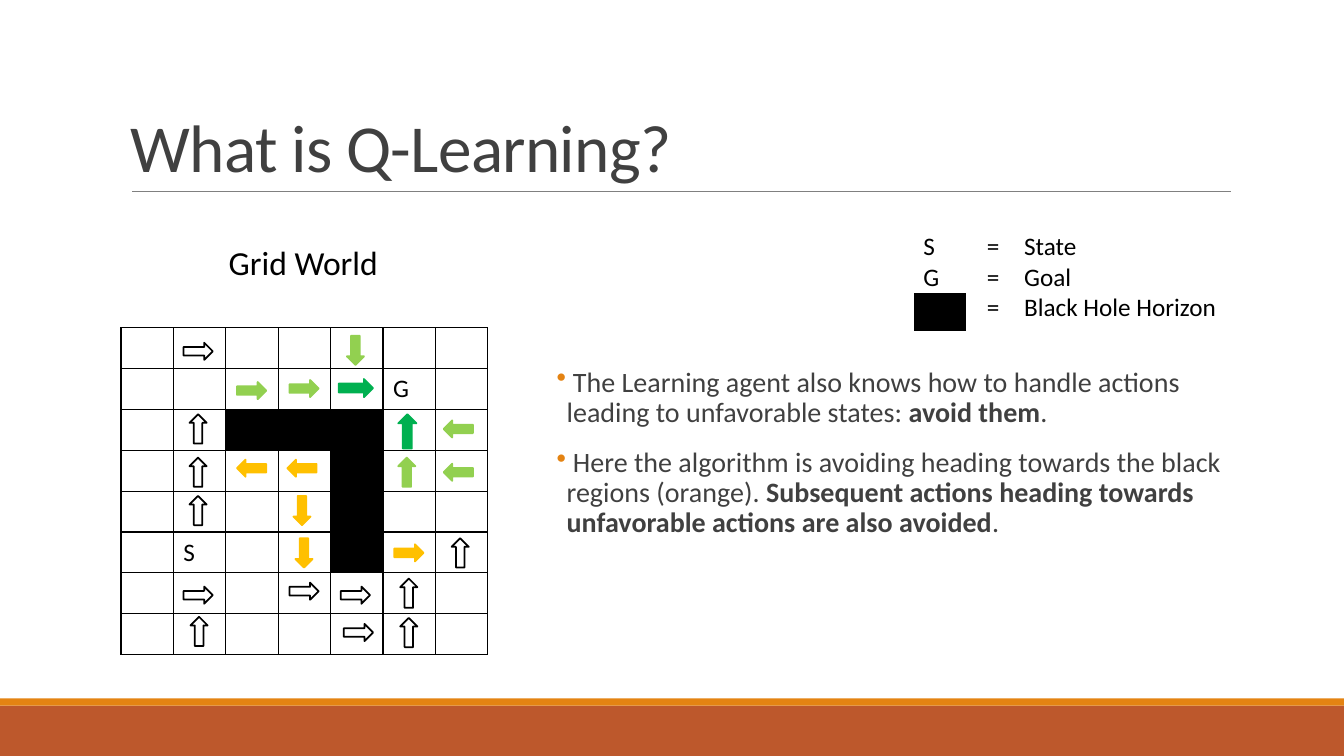
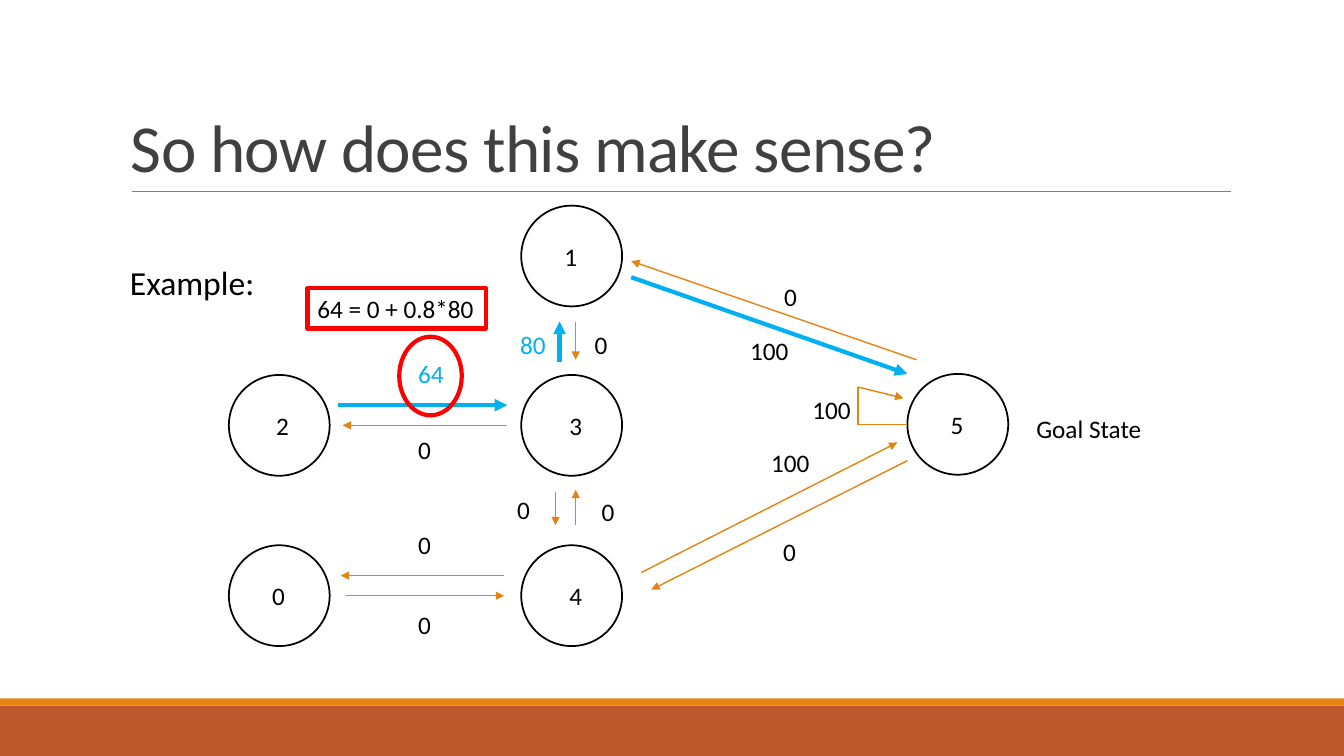
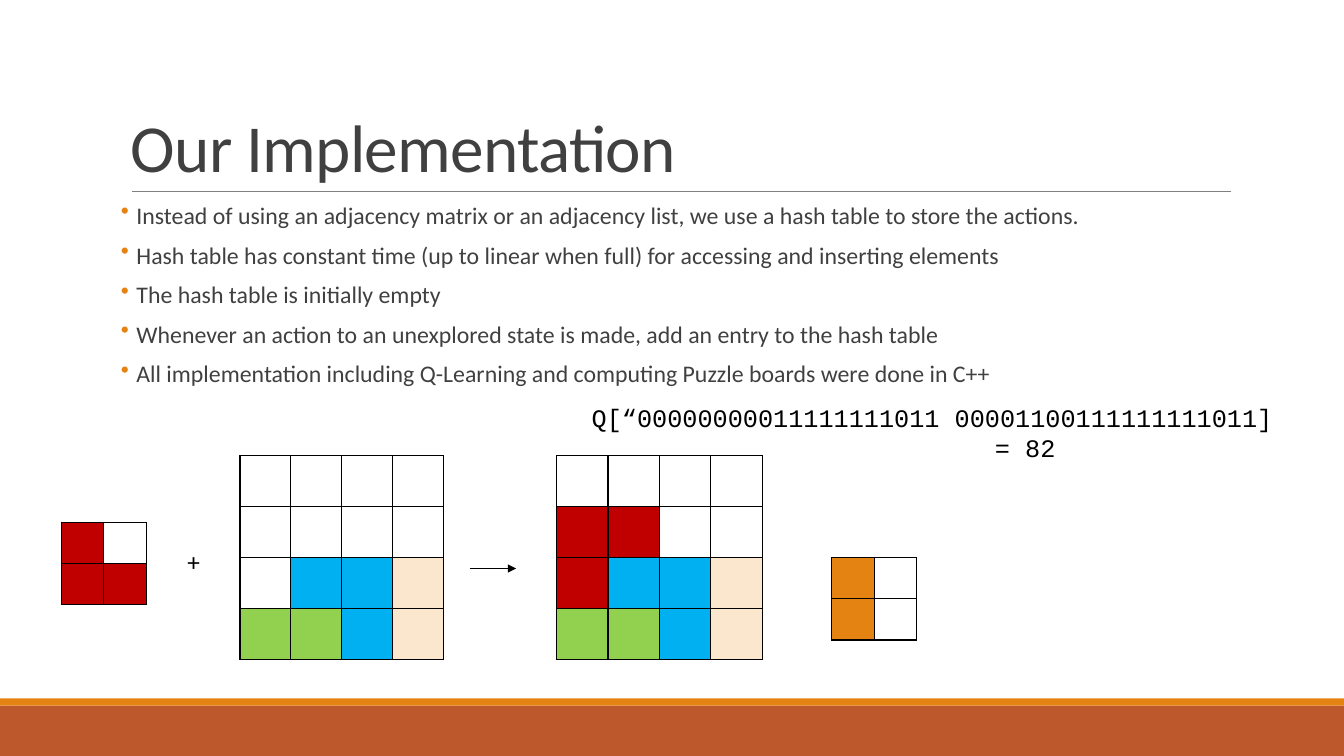
from dataclasses import dataclass
from lxml.etree import SubElement
from pptx import Presentation
from pptx.dml.color import RGBColor
from pptx.enum.shapes import MSO_CONNECTOR, MSO_SHAPE
from pptx.enum.text import MSO_ANCHOR, MSO_AUTO_SIZE
from pptx.oxml.ns import qn
from pptx.util import Inches, Pt


@dataclass(frozen=True)
class Theme:
    font: str = "Calibri"
    code: str = "Courier New"
    black: str = "000000"
    white: str = "FFFFFF"
    grey: str = "808080"
    dark: str = "404040"
    rust: str = "BD582C"
    orange: str = "E48312"
    amber: str = "FFC000"
    green: str = "00B050"
    lime: str = "92D050"
    sky: str = "00B0F0"
    cream: str = "FBE6CE"
    maroon: str = "C00000"
    red: str = "FF0000"
    title: int = 48
    head: int = 24
    body: int = 20
    list: int = 17
    label: int = 18
    hair: float = 0.5
    thin: float = 1
    edge: float = 1.25
    bold: float = 3


T = Theme()
FILLS = {"K": T.black, "W": T.white, "B": T.sky, "C": T.cream,
         "G": T.lime, "R": T.maroon, "O": T.orange}
RIGHT, DOWN, LEFT, UP = 0, 90, 180, 270


def rgb(code):
    return RGBColor.from_string(code)


def inches(*sizes):
    return [Inches(size) for size in sizes]


def paint(item, fill=None, line=None, width=T.edge):
    if fill:
        item.fill.solid()
        item.fill.fore_color.rgb = rgb(fill)
    else:
        item.fill.background()
    if line:
        item.line.color.rgb = rgb(line)
        item.line.width = Pt(width)
    else:
        item.line.fill.background()


def shape(slide, kind, box, turn=0, **look):
    item = slide.shapes.add_shape(kind, *inches(*box))
    item.shadow.inherit = False
    item.rotation = turn
    paint(item, **look)
    return item


def add_marks(para, bullet, tabs):
    props = para._p.get_or_add_pPr()
    if bullet:
        props.set("marL", str(Inches(0.1)))
        props.set("indent", str(-Inches(0.1)))
        color = SubElement(props, qn("a:buClr"))
        SubElement(color, qn("a:srgbClr"), val=T.orange)
        SubElement(props, qn("a:buChar"), char="•")
    if tabs:
        stops = SubElement(props, qn("a:tabLst"))
        for tab in tabs:
            SubElement(stops, qn("a:tab"), pos=str(Inches(tab)), algn="l")


def text(slide, box, words, size=T.label, color=T.black, font=T.font,
         wrap=False, anchor=MSO_ANCHOR.TOP, lead=None, gap=None,
         pad=0.1, kern=None, bullet=False, tabs=()):
    item = slide.shapes.add_textbox(*inches(*box))
    frame = item.text_frame
    frame.word_wrap = wrap
    frame.auto_size = (MSO_AUTO_SIZE.NONE if wrap
                       else MSO_AUTO_SIZE.SHAPE_TO_FIT_TEXT)
    frame.vertical_anchor = anchor
    frame.margin_left = frame.margin_right = Inches(pad)
    for spot, line in enumerate(words.split("\n")):
        para = frame.add_paragraph() if spot else frame.paragraphs[0]
        if lead:
            para.line_spacing = lead
        if gap:
            para.space_before, para.space_after = Pt(gap[0]), Pt(gap[1])
        add_marks(para, bullet, tabs)
        for part, chunk in enumerate(line.split("**")):
            run = para.add_run()
            run.text = chunk
            run.font.name = font
            run.font.size = Pt(size)
            run.font.bold = part % 2 == 1
            run.font.color.rgb = rgb(color)
            if kern:
                run._r.get_or_add_rPr().set("spc", str(kern))
    return item


def bullets(slide, box, words, size, lead):
    text(slide, box, words, size=size, color=T.dark, wrap=True, pad=0,
         lead=lead, gap=(12, 2), bullet=True)


def link(slide, start, end, color=T.orange, width=T.thin, arrow=True):
    item = slide.shapes.add_connector(MSO_CONNECTOR.STRAIGHT,
                                      *inches(*start, *end))
    item.line.color.rgb = rgb(color)
    item.line.width = Pt(width)
    if arrow:
        SubElement(item.line._get_or_add_ln(), qn("a:tailEnd"),
                   type="triangle")
    SubElement(item._element.spPr, qn("a:effectLst"))


def border(cell, color, base):
    props = cell._tc.get_or_add_tcPr()
    sides = [("L", T.thin), ("R", T.thin), ("T", T.thin), ("B", base)]
    for spot, (side, width) in enumerate(sides):
        line = props.makeelement(qn("a:ln" + side), w=str(Pt(width)))
        solid = SubElement(line, qn("a:solidFill"))
        SubElement(solid, qn("a:srgbClr"), val=color)
        props.insert(spot, line)


def grid(slide, box, plan, marks=None, color=T.black, base=T.thin):
    rows, cols = len(plan), len(plan[0])
    table = slide.shapes.add_table(rows, cols, *inches(*box)).table
    table.first_row = table.horz_banding = False
    for row, codes in enumerate(plan):
        for col, code in enumerate(codes):
            cell = table.cell(row, col)
            if code in FILLS:
                cell.fill.solid()
                cell.fill.fore_color.rgb = rgb(FILLS[code])
            else:
                cell.fill.background()
            border(cell, color, base)
            mark = (marks or {}).get((row, col))
            if mark:
                run = cell.text_frame.paragraphs[0].add_run()
                run.text = mark
                run.font.name = T.font
                run.font.size = Pt(T.label)
                run.font.color.rgb = rgb(T.black)


def start(deck, title):
    slide = deck.slides.add_slide(deck.slide_layouts[6])
    shape(slide, MSO_SHAPE.RECTANGLE, (0, 7, 13.33, 0.5), fill=T.rust)
    shape(slide, MSO_SHAPE.RECTANGLE, (0, 6.93, 13.33, 0.07), fill=T.orange)
    link(slide, (1.31, 1.9), (12.21, 1.9), T.grey, T.hair, arrow=False)
    text(slide, (1.2, 0.31, 11, 1.59), title, size=T.title, color=T.dark,
         wrap=True, anchor=MSO_ANCHOR.BOTTOM, lead=0.85, kern=-50)
    return slide


def moves(slide, turn, fill, spots, line=None, size=(0.29, 0.17)):
    for spot in spots:
        shape(slide, MSO_SHAPE.RIGHT_ARROW, (*spot, *size), turn,
              fill=fill, line=line or fill)


def draw_world(deck):
    slide = start(deck, "What is Q-Learning?")
    plan = [".......", ".......", "..KKK..", "....K..",
            "....K..", "....K..", ".......", "......."]
    grid(slide, (1.2, 3.25, 3.64, 3.24), plan, {(1, 5): "G", (5, 1): "S"})
    text(slide, (2.17, 2.35, 1.7, 0.5), "Grid World", size=T.head)
    text(slide, (9.06, 2.24, 3.14, 1.01),
         "S\t=\tState\nG\t=\tGoal\n\t=\tBlack Hole Horizon", tabs=(0.63, 1))
    grid(slide, (9.06, 2.9, 0.53, 0.4), ["K"], color=T.white, base=T.bold)
    bullets(slide, (5.52, 3.6, 6.68, 2.39),
            " The Learning agent also knows how to handle actions leading to "
            "unfavorable states: **avoid them**.\n"
            " Here the algorithm is avoiding heading towards the black "
            "regions (orange). **Subsequent actions heading towards "
            "unfavorable actions are also avoided**.", T.body, 0.9)
    large = (0.34, 0.18)
    moves(slide, RIGHT, T.green, [(3.36, 3.76)], size=large)
    moves(slide, UP, T.green, [(3.87, 4.19)], size=large)
    moves(slide, RIGHT, T.lime, [(2.35, 3.79), (2.87, 3.77)])
    moves(slide, DOWN, T.lime, [(3.38, 3.39)])
    moves(slide, LEFT, T.lime, [(4.4, 4.17), (4.4, 4.6)])
    moves(slide, UP, T.lime, [(3.89, 4.6)])
    moves(slide, RIGHT, T.amber, [(3.91, 5.4)])
    moves(slide, DOWN, T.amber, [(2.85, 4.98), (2.87, 5.4)])
    moves(slide, LEFT, T.amber, [(2.35, 4.56), (2.85, 4.56)])
    moves(slide, RIGHT, T.white,
          [(1.82, 3.4), (1.82, 5.82), (2.87, 5.78), (3.38, 5.82),
           (3.41, 6.19)], T.black)
    moves(slide, UP, T.white,
          [(1.82, 4.17), (1.82, 4.6), (1.82, 4.98), (1.83, 6.18),
           (3.91, 5.8), (3.91, 6.19), (4.42, 5.4)], T.black)


def draw_graph(deck):
    slide = start(deck, "So how does this make sense?")
    nodes = [("0", 2.27, 5.41, 0.33), ("1", 5.17, 2.04, 0.33),
             ("2", 2.27, 3.72, 0.37), ("3", 5.17, 3.72, 0.38),
             ("4", 5.17, 5.41, 0.38), ("5", 9, 3.71, 0.33)]
    for name, left, top, shift in nodes:
        shape(slide, MSO_SHAPE.OVAL, (left, top, 1, 1), line=T.black)
        text(slide, (left + shift, top + 0.3, 0.33, 0.4), name)
    paths = [((5.03, 4.22), (3.4, 4.22)), ((3.43, 5.91), (5, 5.91)),
             ((5, 5.71), (3.38, 5.71)), ((5.51, 4.88), (5.51, 5.21)),
             ((5.71, 5.21), (5.71, 4.86)), ((5.71, 3.19), (5.71, 3.57)),
             ((6.36, 5.68), (8.9, 4.39)), ((9, 4.57), (6.46, 5.85)),
             ((8.51, 3.84), (8.96, 3.95)), ((9.09, 3.57), (6.26, 2.59))]
    for tail, head in paths:
        link(slide, tail, head)
    for tail, head in [((8.51, 4.21), (9, 4.21)), ((8.51, 4.22), (8.51, 3.84))]:
        link(slide, tail, head, arrow=False)
    for tail, head in [((3.35, 4.02), (5.03, 4.02)),
                       ((5.55, 3.59), (5.55, 3.19)),
                       ((6.26, 2.75), (9, 3.71))]:
        link(slide, tail, head, T.sky, T.bold)
    costs = {"0": [(5.8, 3.22), (4.05, 4.26), (4.05, 5.2), (4.05, 6),
                   (7.68, 2.74), (7.67, 5.27), (5.87, 4.87), (5.03, 4.86)],
             "100": [(7.55, 4.39), (7.96, 3.86), (7.34, 3.28)],
             "80": [(5.06, 3.22)], "64": [(4.05, 3.51)]}
    for cost, spots in costs.items():
        color = T.sky if cost in ("80", "64") else T.black
        for spot in spots:
            text(slide, (*spot, 0.2 + 0.13 * len(cost), 0.4), cost,
                 color=color)
    text(slide, (1.19, 2.55, 1.45, 0.5), "Example:", size=T.head)
    shape(slide, MSO_SHAPE.OVAL, (3.96, 3.34, 0.62, 0.78), line=T.red,
          width=T.bold)
    sum_box = text(slide, (3.05, 2.86, 1.77, 0.4), "64 = 0 + 0.8*80")
    paint(sum_box, T.white, T.red, T.bold)
    text(slide, (10.18, 4.05, 1.25, 0.4), "Goal State")


def draw_build(deck):
    slide = start(deck, "Our Implementation")
    bullets(slide, (1.2, 2.02, 11, 1.93),
            " Instead of using an adjacency matrix or an adjacency list, we "
            "use a hash table to store the actions.\n"
            " Hash table has constant time (up to linear when full) for "
            "accessing and inserting elements\n"
            " The hash table is initially empty\n"
            " Whenever an action to an unexplored state is made, add an "
            "entry to the hash table\n"
            " All implementation including Q-Learning and computing Puzzle "
            "boards were done in C++", T.list, 0.7)
    floor = "GGBC"
    grid(slide, (2.38, 4.52, 2.02, 2.02), ["....", "....", ".BBC", floor])
    grid(slide, (0.61, 5.18, 0.84, 0.82), ["R.", "RR"])
    grid(slide, (5.52, 4.52, 2.04, 2.02), ["....", "RR..", "RBBC", floor])
    grid(slide, (8.25, 5.53, 0.84, 0.82), ["O.", "OW"])
    text(slide, (1.76, 5.37, 0.33, 0.4), "+")
    link(slide, (4.66, 5.64), (5.12, 5.64), T.black)
    text(slide, (5.77, 3.94, 7.14, 0.71),
         "Q[“00000000011111111011 00001100111111111011]\n\t= 82",
         font=T.code, tabs=(4,))


def main():
    deck = Presentation()
    deck.slide_width, deck.slide_height = inches(13.33, 7.5)
    draw_world(deck)
    draw_graph(deck)
    draw_build(deck)
    deck.save("out.pptx")


if __name__ == "__main__":
    main()
